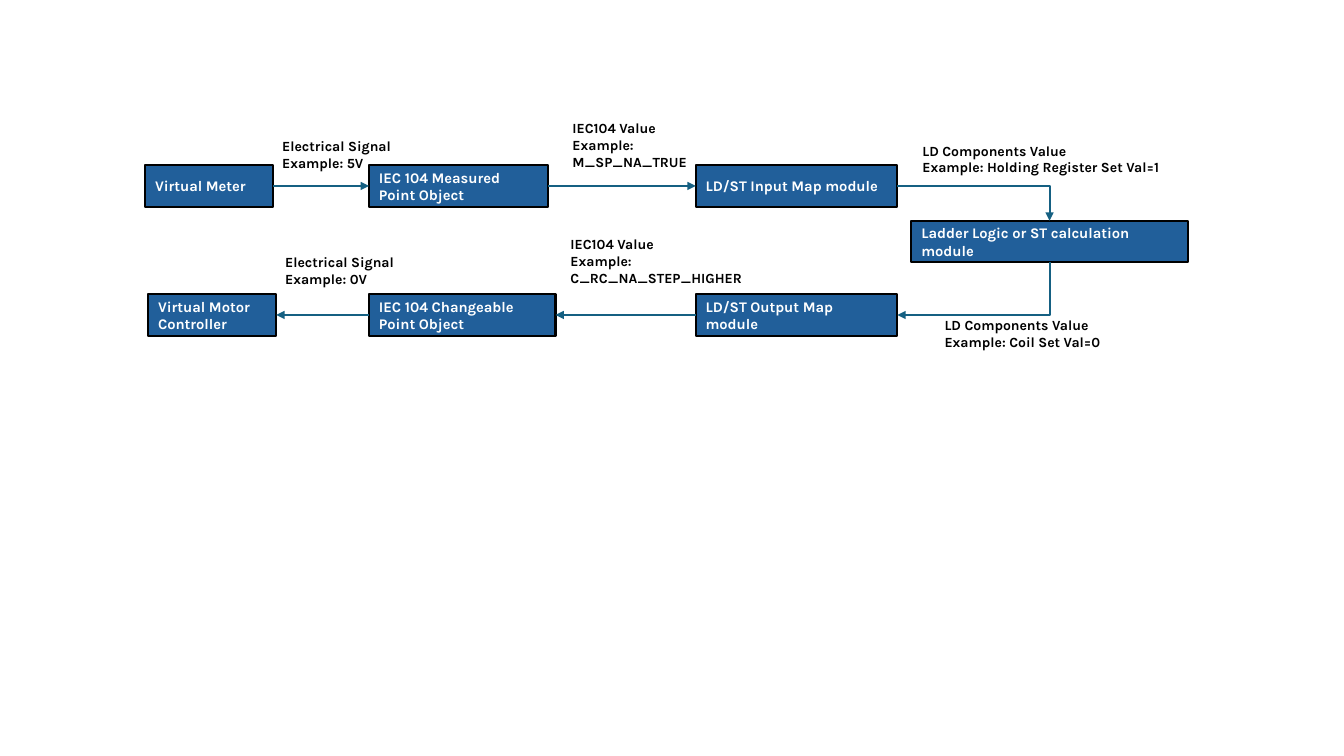
from dataclasses import dataclass

from pptx import Presentation
from pptx.dml.color import RGBColor as Color
from pptx.enum.shapes import MSO_CONNECTOR as Link, MSO_SHAPE as Preset
from pptx.enum.text import MSO_ANCHOR as Anchor, MSO_AUTO_SIZE as AutoSize, PP_ALIGN as Align
from pptx.oxml.ns import qn
from pptx.oxml.xmlchemy import OxmlElement
from pptx.util import Inches, Pt


@dataclass(frozen=True)
class Theme:
    font: str = "Karla"
    box_fill: Color = Color.from_string("215F9A")
    box_line: Color = Color.from_string("000000")
    box_text: Color = Color.from_string("FFFFFF")
    label_text: Color = Color.from_string("000000")
    arrow: Color = Color.from_string("156082")
    box_size: float = 10.5
    label_size: float = 10
    line_width: float = 1.5


THEME = Theme()
BOX_HEIGHT = 0.41
TOP, LEFT, BOTTOM, RIGHT = range(4)


def write_text(frame, text, size, color, anchor=Anchor.TOP):
    """Fill a text frame, one paragraph for each line of text."""
    frame.word_wrap = True
    frame.vertical_anchor = anchor
    for index, line in enumerate(text.split("\n")):
        para = frame.paragraphs[0] if index == 0 else frame.add_paragraph()
        para.alignment = Align.LEFT
        span = para.add_run()
        span.text = line
        span.font.name = THEME.font
        span.font.size = Pt(size)
        span.font.bold = True
        span.font.color.rgb = color


def add_box(page, text, left, top, width):
    box = page.shapes.add_shape(
        Preset.RECTANGLE, Inches(left), Inches(top), Inches(width), Inches(BOX_HEIGHT))
    box.shadow.inherit = False
    box.fill.solid()
    box.fill.fore_color.rgb = THEME.box_fill
    box.line.color.rgb = THEME.box_line
    box.line.width = Pt(THEME.line_width)
    write_text(box.text_frame, text, THEME.box_size, THEME.box_text, Anchor.MIDDLE)
    return box


def add_label(page, text, left, top, width):
    height = 0.61 if "IEC104" in text else 0.44
    label = page.shapes.add_textbox(Inches(left), Inches(top), Inches(width), Inches(height))
    write_text(label.text_frame, text, THEME.label_size, THEME.label_text)
    label.text_frame.auto_size = AutoSize.SHAPE_TO_FIT_TEXT


def add_arrow(page, source, source_side, target, target_side, kind=Link.STRAIGHT):
    arrow = page.shapes.add_connector(kind, 0, 0, 0, 0)
    arrow.begin_connect(source, source_side)
    arrow.end_connect(target, target_side)
    arrow.line.color.rgb = THEME.arrow
    arrow.line.width = Pt(THEME.line_width)
    head = OxmlElement("a:tailEnd")
    head.set("type", "triangle")
    arrow.line._get_or_add_ln().append(head)
    properties = arrow._element.spPr
    properties.append(OxmlElement("a:effectLst"))
    if kind == Link.ELBOW:
        properties.find(qn("a:prstGeom")).set("prst", "bentConnector2")
        if source_side == BOTTOM:
            turn_down_first(arrow)


def turn_down_first(arrow):
    """Turn a one-bend connector so that it leaves downwards, then runs left."""
    width, height = arrow.width, arrow.height
    arrow.left += (width - height) // 2
    arrow.top += (height - width) // 2
    arrow.width, arrow.height = height, width
    frame = arrow._element.spPr.find(qn("a:xfrm"))
    frame.attrib.pop("flipH", None)
    frame.set("rot", str(90 * 60000))


def add_row(page, top, boxes, labels, leftward=False):
    """Draw a row of boxes joined by arrows; label offsets are from the row's top."""
    row = [add_box(page, text, left, top, width) for text, left, width in boxes]
    for first, second in zip(row, row[1:]):
        if leftward:
            add_arrow(page, second, LEFT, first, RIGHT)
        else:
            add_arrow(page, first, RIGHT, second, LEFT)
    for text, left, offset, width in labels:
        add_label(page, text, left, top + offset, width)
    return row


def add_calculation(page, left, top, width, source, target):
    """Draw the calculation box between the end of one row and of the next."""
    box = add_box(page, "Ladder Logic or ST calculation module", left, top, width)
    add_arrow(page, source, RIGHT, box, TOP, Link.ELBOW)
    add_arrow(page, box, BOTTOM, target, RIGHT, Link.ELBOW)


def build_signal_flow(page):
    inputs = add_row(
        page, 1.64,
        [("Virtual Meter", 1.44, 1.27),
         ("IEC 104 Measured Point Object", 3.66, 1.78),
         ("LD/ST Input Map module", 6.9, 2)],
        [("Electrical Signal Example: 5V", 2.7, -0.32, 1.3),
         ("IEC104 Value\nExample: M_SP_NA_TRUE", 5.58, -0.5, 1.46),
         ("LD Components Value\nExample: Holding Register Set Val=1", 9.05, -0.28, 2.62)])
    outputs = add_row(
        page, 2.92,
        [("Virtual Motor Controller", 1.47, 1.27),
         ("IEC 104 Changeable Point Object", 3.66, 1.85),
         ("LD/ST Output Map module", 6.9, 2)],
        [("Electrical Signal Example: 0V", 2.73, -0.45, 1.3),
         ("IEC104 Value\nExample:\nC_RC_NA_STEP_HIGHER", 5.56, -0.63, 2.53),
         ("LD Components Value\nExample: Coil Set Val=0", 9.27, 0.17, 2.4)],
        leftward=True)
    add_calculation(page, 9.04, 2.19, 2.74, inputs[-1], outputs[-1])


def main():
    deck = Presentation()
    deck.slide_width, deck.slide_height = Inches(13.33), Inches(7.5)
    build_signal_flow(deck.slides.add_slide(deck.slide_layouts[6]))
    deck.save("out.pptx")


if __name__ == "__main__":
    main()
